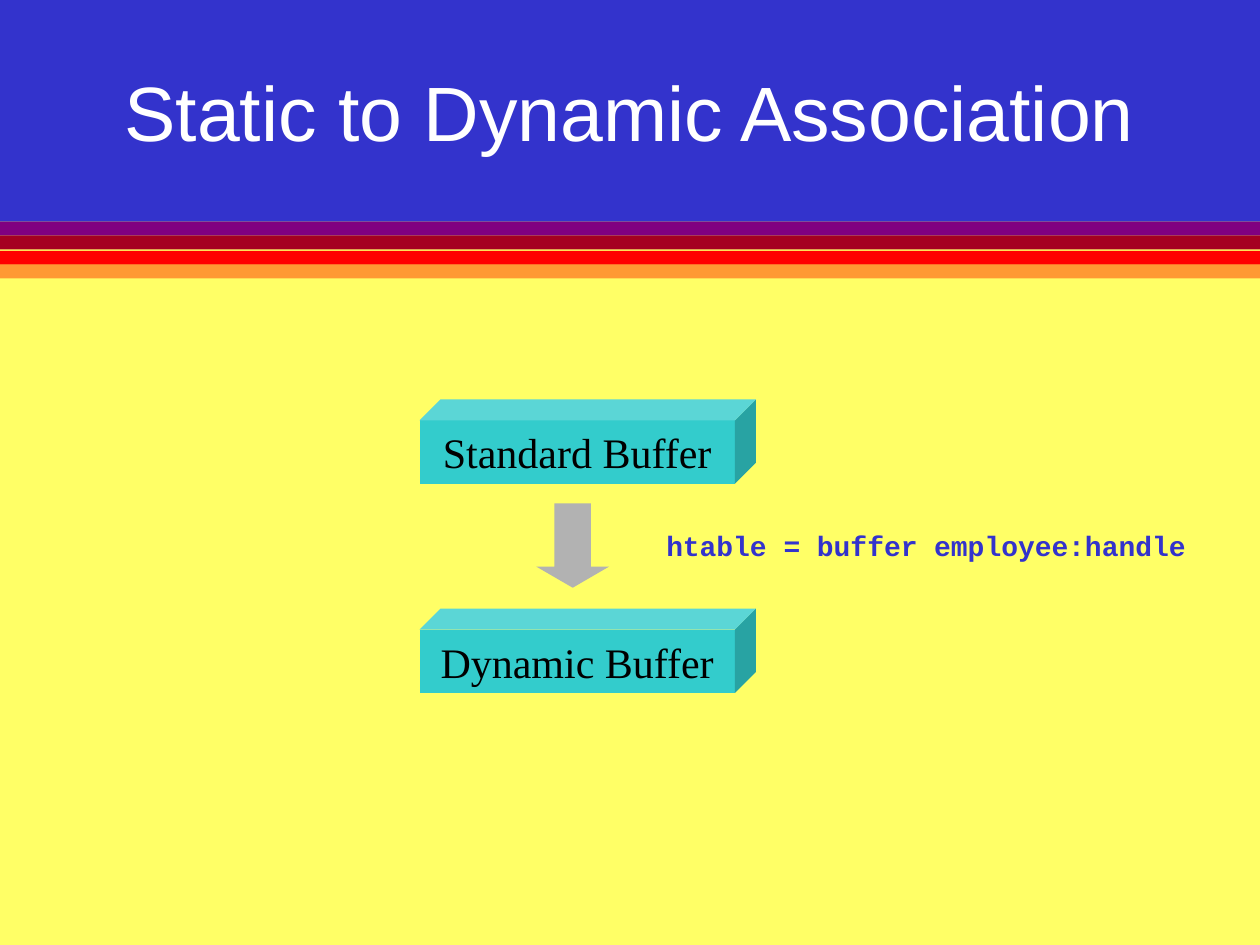
from typing import NamedTuple

from pptx import Presentation
from pptx.dml.color import RGBColor
from pptx.enum.shapes import MSO_SHAPE
from pptx.enum.text import MSO_ANCHOR, PP_ALIGN
from pptx.util import Inches, Pt

HUES = {
    "yellow": "FFFF66", "blue": "3333CC", "purple": "800080",
    "maroon": "A50021", "red": "FF0000", "orange": "FF9933",
    "teal": "33CCCC", "gray": "B2B2B2", "white": "FFFFFF", "black": "000000",
}


class Box(NamedTuple):
    left: float
    top: float
    width: float
    height: float


class Band(NamedTuple):
    top: float
    height: float
    hue: str


class Label(NamedTuple):
    text: str
    size: int
    face: str
    hue: str
    bold: bool = False


BANDS = [
    Band(1.5, 6, "yellow"),
    Band(0, 1.76, "blue"),
    Band(1.76, 0.11, "purple"),
    Band(1.87, 0.11, "maroon"),
    Band(1.99, 0.11, "red"),
    Band(2.1, 0.11, "orange"),
]
BUFFERS = [(3.17, "Standard Buffer"), (4.83, "Dynamic Buffer")]


def place(box: Box) -> list:
    return [Inches(side) for side in box]


def paint(slide, kind, box: Box, hue: str):
    shape = slide.shapes.add_shape(kind, *place(box))
    shape.shadow.inherit = False
    shape.fill.solid()
    shape.fill.fore_color.rgb = RGBColor.from_string(HUES[hue])
    shape.line.fill.background()
    return shape


def write(shape, label: Label, wrap: bool = False) -> None:
    frame = shape.text_frame
    frame.text = label.text
    frame.word_wrap = wrap
    frame.vertical_anchor = MSO_ANCHOR.MIDDLE
    line = frame.paragraphs[0]
    line.alignment = PP_ALIGN.CENTER
    font = line.runs[0].font
    font.size = Pt(label.size)
    font.name = label.face
    font.bold = label.bold
    font.color.rgb = RGBColor.from_string(HUES[label.hue])


def note(slide, box: Box, label: Label, wrap: bool = False) -> None:
    write(slide.shapes.add_textbox(*place(box)), label, wrap)


def main() -> None:
    deck = Presentation()
    deck.slide_width, deck.slide_height = Inches(10), Inches(7.5)
    slide = deck.slides.add_slide(deck.slide_layouts[6])

    # Background bands
    for band in BANDS:
        paint(slide, MSO_SHAPE.RECTANGLE,
              Box(0, band.top, 10, band.height), band.hue)

    # Title
    note(slide, Box(0.75, 0.25, 8.5, 1.25),
         Label("Static to Dynamic Association", 44, "Arial", "white"), True)

    # Buffer cubes
    for top, text in BUFFERS:
        cube = paint(slide, MSO_SHAPE.CUBE, Box(3.33, top, 2.67, 0.67), "teal")
        cube.adjustments[0] = 0.25
        write(cube, Label(text, 24, "Times New Roman", "black"))

    # Arrow from the standard to the dynamic buffer
    arrow = paint(slide, MSO_SHAPE.RIGHT_ARROW,
                  Box(4.21, 4.04, 0.67, 0.58), "gray")
    arrow.rotation = 90
    arrow.adjustments[0] = 0.5
    arrow.adjustments[1] = 0.29

    # Code beside the arrow
    note(slide, Box(5.15, 4.08, 4.4, 0.5),
         Label("htable = buffer employee:handle", 16, "Courier New", "blue", True))

    deck.save("out.pptx")


if __name__ == "__main__":
    main()
